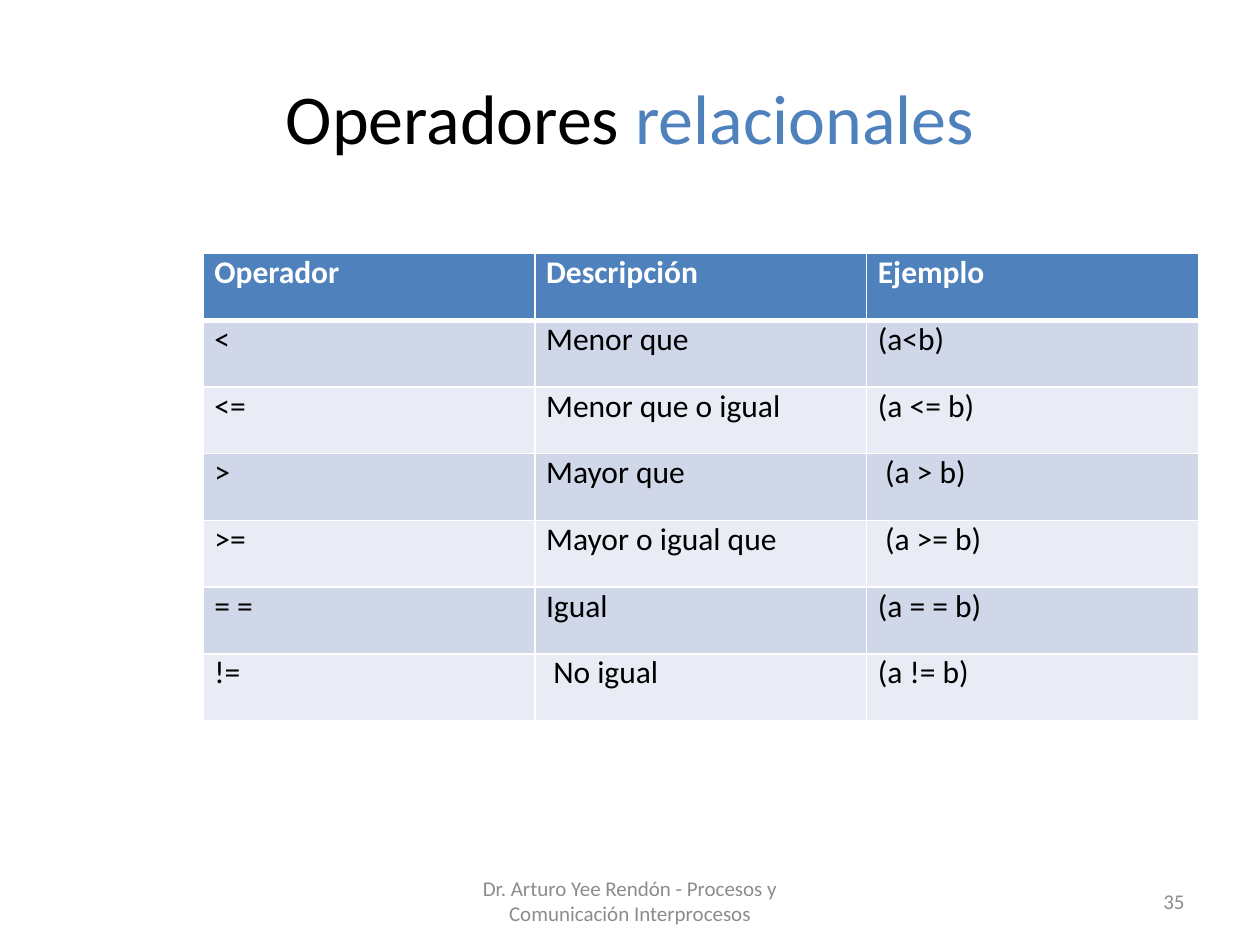
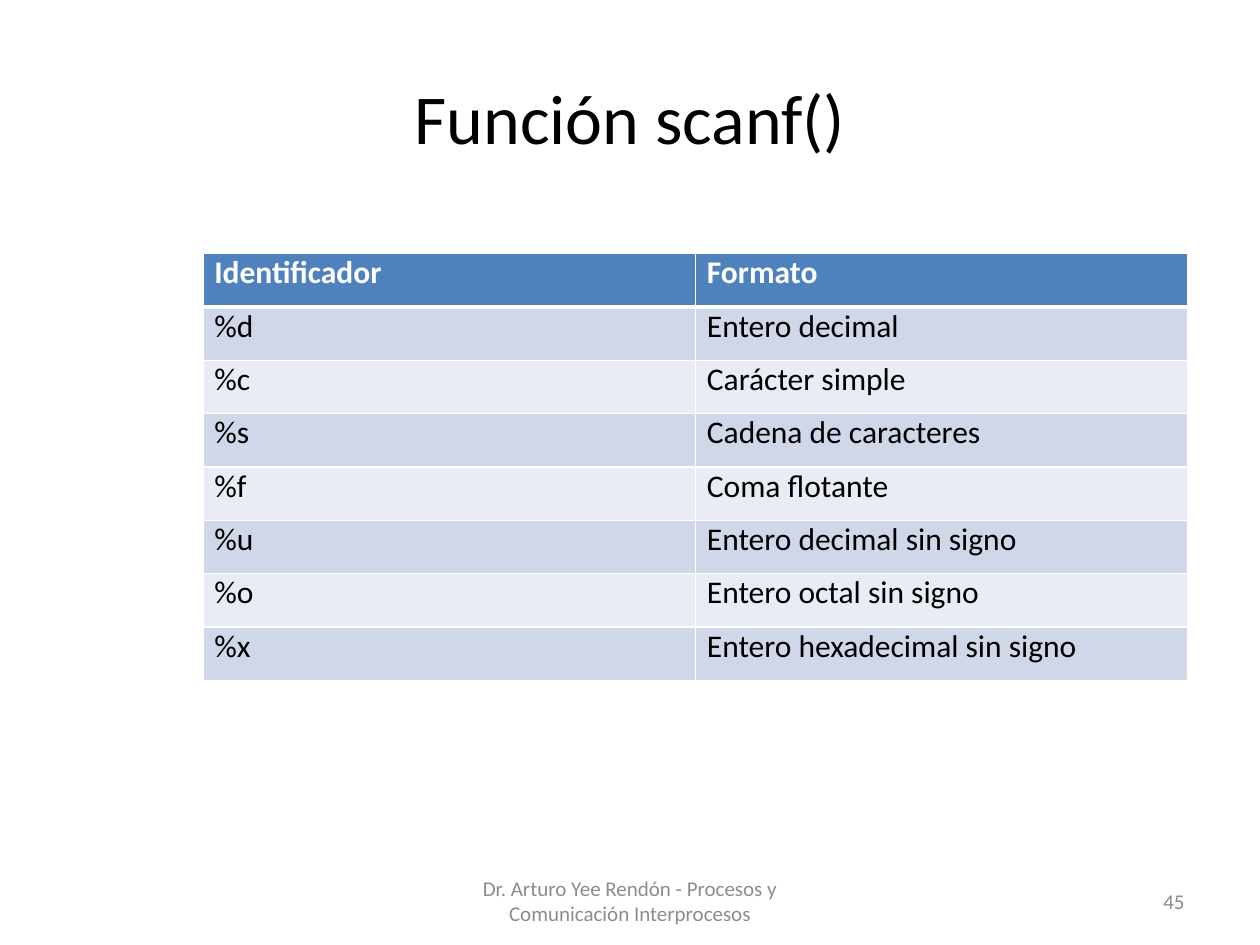
import pptx
import pptx.util
import pptx.dml.color
import pptx.enum.text
import pptx.oxml
import pptx.oxml.ns

Pt = pptx.util.Pt
ALIGN = pptx.enum.text.PP_ALIGN
ANCHOR = pptx.enum.text.MSO_ANCHOR

FONT = "Calibri"
BLACK, WHITE, GREY = "000000", "FFFFFF", "8C8C8C"
ACCENT, HEADER_FILL = "4F81BD", "4F81BC"
BAND_FILLS = ("E9ECF4", "D0D7E8")
FOOTER = "Dr. Arturo Yee Rendón - Procesos y Comunicación Interprocesos"
TABLE_LEFT, TABLE_TOP = 116, 145
CELL_INDENT, WIDE_INDENT = 6.5, 10.6

RELATIONAL_OPERATORS = [
    ("Operador", "Descripción", "Ejemplo"),
    ("<", "Menor que", "(a<b)"),
    ("<=", "Menor que o igual", "(a <= b)"),
    (">", "Mayor que", "(a > b)"),
    (">=", "Mayor o igual que", "(a >= b)"),
    ("= =", "Igual", "(a = = b)"),
    ("!=", "No igual", "(a != b)"),
]
WIDE_INDENT_TEXTS = {"(a > b)", "(a >= b)", "No igual"}

SCANF_FORMATS = [
    ("Identificador", "Formato"),
    ("%d", "Entero decimal"),
    ("%c", "Carácter simple"),
    ("%s", "Cadena de caracteres"),
    ("%f", "Coma flotante"),
    ("%u", "Entero decimal sin signo"),
    ("%o", "Entero octal sin signo"),
    ("%x", "Entero hexadecimal sin signo"),
]


def rgb(hex_color):
    return pptx.dml.color.RGBColor.from_string(hex_color)


def style_font(font, size, color, bold=False):
    font.name = FONT
    font.size = Pt(size)
    font.bold = bold
    font.color.rgb = rgb(color)


def set_margins(holder, left=0):
    holder.margin_left = Pt(left)
    holder.margin_top = holder.margin_right = holder.margin_bottom = 0


def add_title(slide, parts):
    title = slide.shapes.title
    title.left, title.top, title.width, title.height = Pt(36), Pt(42.5), Pt(648), Pt(48)
    frame = title.text_frame
    frame.word_wrap = True
    frame.auto_size = pptx.enum.text.MSO_AUTO_SIZE.SHAPE_TO_FIT_TEXT
    frame.vertical_anchor = ANCHOR.MIDDLE
    set_margins(frame)
    heading = frame.paragraphs[0]
    heading.alignment = ALIGN.CENTER
    for text, color in parts:
        run = heading.add_run()
        run.text = text
        style_font(run.font, 40, color)


def add_footer_text(slide, text, left, width, alignment):
    box = slide.shapes.add_textbox(Pt(left), Pt(500.5), Pt(width), Pt(28.75))
    frame = box.text_frame
    frame.word_wrap = True
    frame.vertical_anchor = ANCHOR.MIDDLE
    paragraph = frame.paragraphs[0]
    paragraph.text = text
    paragraph.alignment = alignment
    style_font(paragraph.font, 12, GREY)


def set_borders(cell, top, bottom):
    properties = cell._tc.get_or_add_tcPr()
    for side, width in (("L", 1), ("R", 1), ("T", top), ("B", bottom)):
        properties.append(pptx.oxml.parse_xml(
            f'<a:ln{side} {pptx.oxml.ns.nsdecls("a")} w="{Pt(width)}">'
            f'<a:solidFill><a:srgbClr val="{WHITE}"/></a:solidFill></a:ln{side}>'))


def fill_cell(cell, text, row):
    is_header = row == 0
    set_borders(cell, top=3 if row == 1 else 1, bottom=3 if is_header else 1)
    cell.fill.solid()
    cell.fill.fore_color.rgb = rgb(HEADER_FILL if is_header else BAND_FILLS[row % 2])
    set_margins(cell, WIDE_INDENT if text in WIDE_INDENT_TEXTS else CELL_INDENT)
    paragraph = cell.text_frame.paragraphs[0]
    paragraph.text = text
    paragraph.space_before = Pt(0.9 if row == 1 else 1.9)
    style_font(paragraph.font, 18, WHITE if is_header else BLACK, is_header)


def add_reference_table(slide, rows, column_width, row_height):
    row_count, column_count = len(rows), len(rows[0])
    table = slide.shapes.add_table(
        row_count, column_count, Pt(TABLE_LEFT), Pt(TABLE_TOP),
        Pt(column_width * column_count), Pt(row_height * row_count)).table
    for row, texts in enumerate(rows):
        for column, text in enumerate(texts):
            fill_cell(table.cell(row, column), text, row)


def add_reference_slide(deck, number, title_parts, rows, column_width, row_height):
    slide = deck.slides.add_slide(deck.slide_layouts.get_by_name("Title Only"))
    add_title(slide, title_parts)
    add_reference_table(slide, rows, column_width, row_height)
    add_footer_text(slide, FOOTER, 246, 228, ALIGN.CENTER)
    add_footer_text(slide, str(number), 516, 168, ALIGN.RIGHT)


def main():
    deck = pptx.Presentation()
    deck.slide_width, deck.slide_height = Pt(720), Pt(540)
    add_reference_slide(deck, 35, [("Operadores ", BLACK), ("relacionales", ACCENT)],
                        RELATIONAL_OPERATORS, 189.6, 38.1)
    add_reference_slide(deck, 45, [("Función scanf()", BLACK)],
                        SCANF_FORMATS, 281.5, 30.5)
    deck.save("out.pptx")


if __name__ == "__main__":
    main()
